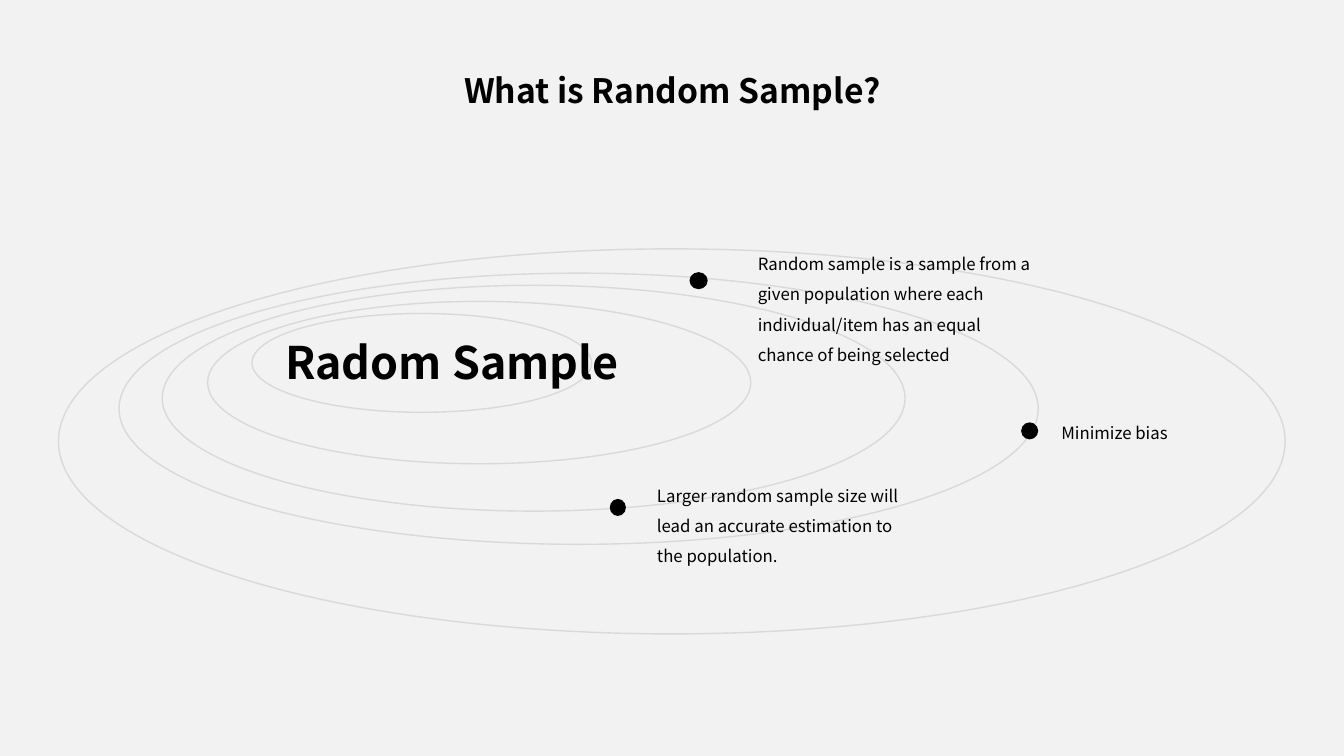
"""Build a slide that explains random samples with nested orbits."""
import pptx
import pptx.dml.color
import pptx.enum.shapes
import pptx.enum.text
import pptx.util

Pt = pptx.util.Pt
ALIGN = pptx.enum.text.PP_ALIGN
FONT = "Noto Sans CJK SC"
INK, RING, PAPER = "000000", "D9D9D9", "F2F2F2"

TITLE = ("What is Random Sample?", (239, 31.7, 482.4, 46), 24, True, ALIGN.CENTER)
NAME = ("Radom Sample", (196.6, 216, 278.6, 58.3), 32, True, ALIGN.LEFT)
RINGS = [
    (180, 223.9, 242.6, 70.6),
    (148.3, 215.3, 388, 116),
    (115.9, 203.8, 530.6, 161.3),
    (85, 195.1, 656.6, 193.7),
    (41.8, 177.8, 876.2, 275),
]
NOTES = [
    ("Larger random sample size will lead an accurate estimation to the population.",
     (435.6, 356.4, 11.5, 12.2), (462.2, 336.2, 193, 92.2), ALIGN.LEFT),
    ("Minimize bias",
     (729.4, 301.7, 12.2, 12.2), (751, 290.9, 157.7, 26.6), ALIGN.JUSTIFY),
    ("Random sample is a sample from a given population where each "
     "individual/item has an equal chance of being selected",
     (492.5, 194.4, 13, 12.2), (534.2, 170.6, 212.4, 92.2), ALIGN.LEFT),
]


def paint(fill, color):
    fill.solid()
    fill.fore_color.rgb = pptx.dml.color.RGBColor.from_string(color)


def oval(shapes, box, fill=None, line=None):
    kind = pptx.enum.shapes.MSO_SHAPE.OVAL
    shape = shapes.add_shape(kind, *map(Pt, box))
    shape.shadow.inherit = False
    if fill:
        paint(shape.fill, fill)
    else:
        shape.fill.background()
    if line:
        paint(shape.line.fill, line)
        shape.line.width = Pt(1)
    else:
        shape.line.fill.background()


def label(shapes, text, box, size, bold, align):
    frame = shapes.add_textbox(*map(Pt, box)).text_frame
    frame.word_wrap = True
    frame.auto_size = pptx.enum.text.MSO_AUTO_SIZE.SHAPE_TO_FIT_TEXT
    para = frame.paragraphs[0]
    para.alignment = align
    para.line_spacing = 1.5
    run = para.add_run()
    run.text = text
    run.font.name = FONT
    run.font.size = Pt(size)
    run.font.bold = bold
    paint(run.font.fill, INK)


def main():
    deck = pptx.Presentation()
    deck.slide_width, deck.slide_height = Pt(960), Pt(540)
    slide = deck.slides.add_slide(deck.slide_layouts[6])
    paint(slide.background.fill, PAPER)
    label(slide.shapes, *TITLE)
    for box in RINGS:
        oval(slide.shapes, box, line=RING)
    label(slide.shapes, *NAME)
    for text, dot, box, align in NOTES:
        group = slide.shapes.add_group_shape()
        oval(group.shapes, dot, fill=INK)
        label(group.shapes, text, box, 12, False, align)
    deck.save("out.pptx")


if __name__ == "__main__":
    main()
